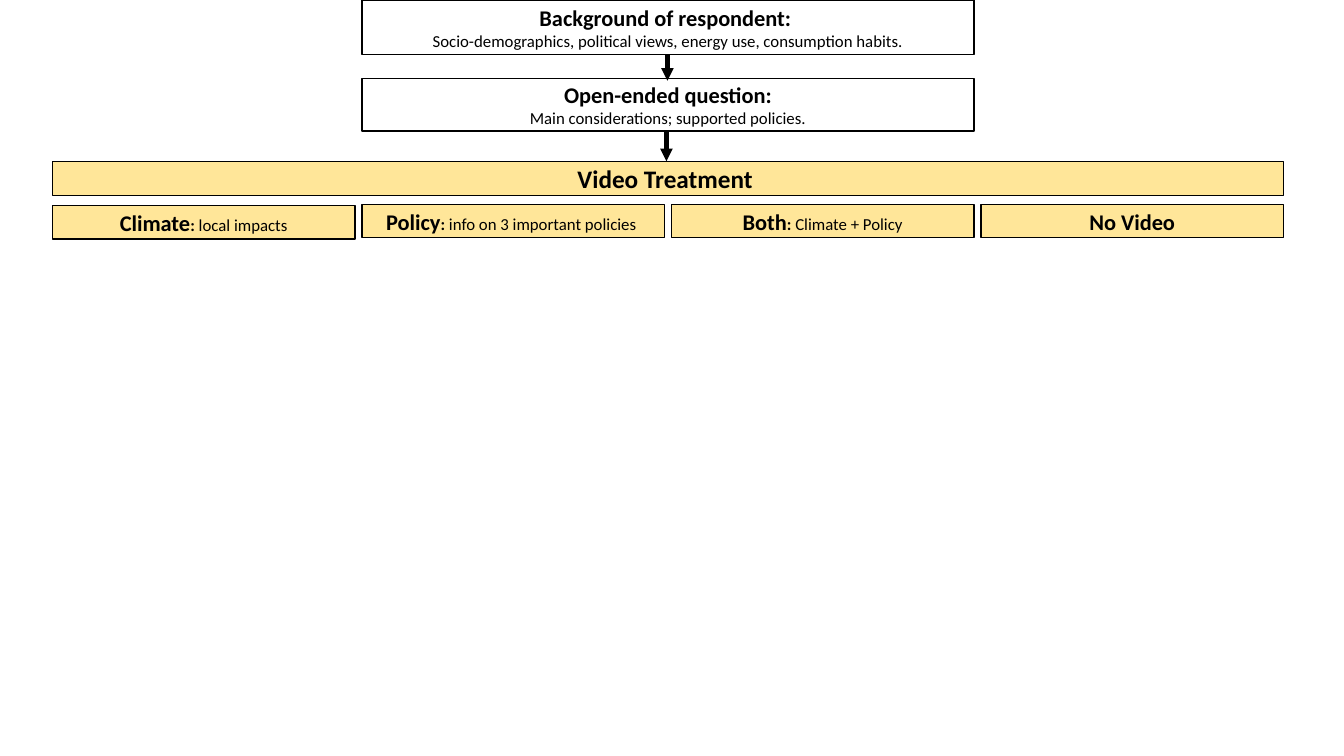
from pptx import Presentation
from pptx.dml.color import RGBColor
from pptx.enum.shapes import MSO_CONNECTOR, MSO_SHAPE
from pptx.enum.text import MSO_ANCHOR, PP_ALIGN
from pptx.oxml.ns import qn
from pptx.util import Inches, Pt
from lxml import etree

RECT = MSO_SHAPE.RECTANGLE
LINE = MSO_CONNECTOR.STRAIGHT
MIDDLE = MSO_ANCHOR.MIDDLE
CENTER = PP_ALIGN.CENTER

BLACK, GOLD = "000000", "FFE699"
LEFT, WIDE, STEP = 0.52, 3.0, 3.07  # four columns


def color(target, value):
    """Give a line or font a solid colour from a hex string."""
    target.color.rgb = RGBColor.from_string(value)


def add_box(col, span, top, height, fill, lines):
    """Draw a box over some columns; lines hold (text, size, bold) runs."""
    width = WIDE + (span - 1) * STEP
    box = slide.shapes.add_shape(
        RECT, Inches(LEFT + col * STEP), Inches(top), Inches(width), Inches(height))
    box.shadow.inherit = False
    if fill:
        box.fill.solid()
        box.fill.fore_color.rgb = RGBColor.from_string(fill)
    else:
        box.fill.background()
    color(box.line, BLACK)
    box.line.width = Pt(1)
    frame = box.text_frame
    frame.word_wrap = True
    frame.vertical_anchor = MIDDLE
    for i, runs in enumerate(lines):
        para = frame.add_paragraph() if i else frame.paragraphs[0]
        para.alignment = CENTER
        for text, size, bold in runs:
            run = para.add_run()
            run.text = text
            run.font.name = "Calibri"
            run.font.size = Pt(size)
            run.font.bold = bold
            color(run.font, BLACK)


deck = Presentation()
deck.slide_width, deck.slide_height = Inches(13.33), Inches(7.5)
slide = deck.slides.add_slide(deck.slide_layouts[6])

# Survey steps, each followed by an arrow: x, start, end
steps = [
    (0, 0.54, "Background of respondent: ",
     "Socio-demographics, political views, energy use, consumption habits.",
     (6.62, 0.54, 0.8)),
    (0.78, 0.52, "Open-ended question:",
     "Main considerations; supported policies.",
     (6.61, 1.3, 1.6)),
]
for top, height, head, note, (x, start, end) in steps:
    add_box(1, 2, top, height, None, [[(head, 16, True)], [(note, 12, False)]])
    arrow = slide.shapes.add_connector(
        LINE, Inches(x), Inches(start), Inches(x), Inches(end))
    color(arrow.line, BLACK)
    arrow.line.width = Pt(3)
    etree.SubElement(arrow.line._get_or_add_ln(), qn("a:tailEnd"), type="triangle")
    etree.SubElement(arrow._element.spPr, qn("a:effectLst"))

# Treatment header and its four arms
add_box(0, 4, 1.6, 0.34, GOLD, [[("Video Treatment ", 18, True)]])
arms = [
    ("Climate", "local impacts", 2.04),
    ("Policy", "info on 3 important policies ", 2.03),
    ("Both", "Climate + Policy", 2.03),
    ("No Video", "", 2.03),
]
for col, (name, note, top) in enumerate(arms):
    runs = [(name, 16, True)]
    if note:
        runs += [(": ", 12, True), (note, 12, False)]
    add_box(col, 1, top, 0.33, GOLD, [runs])

deck.save("out.pptx")
